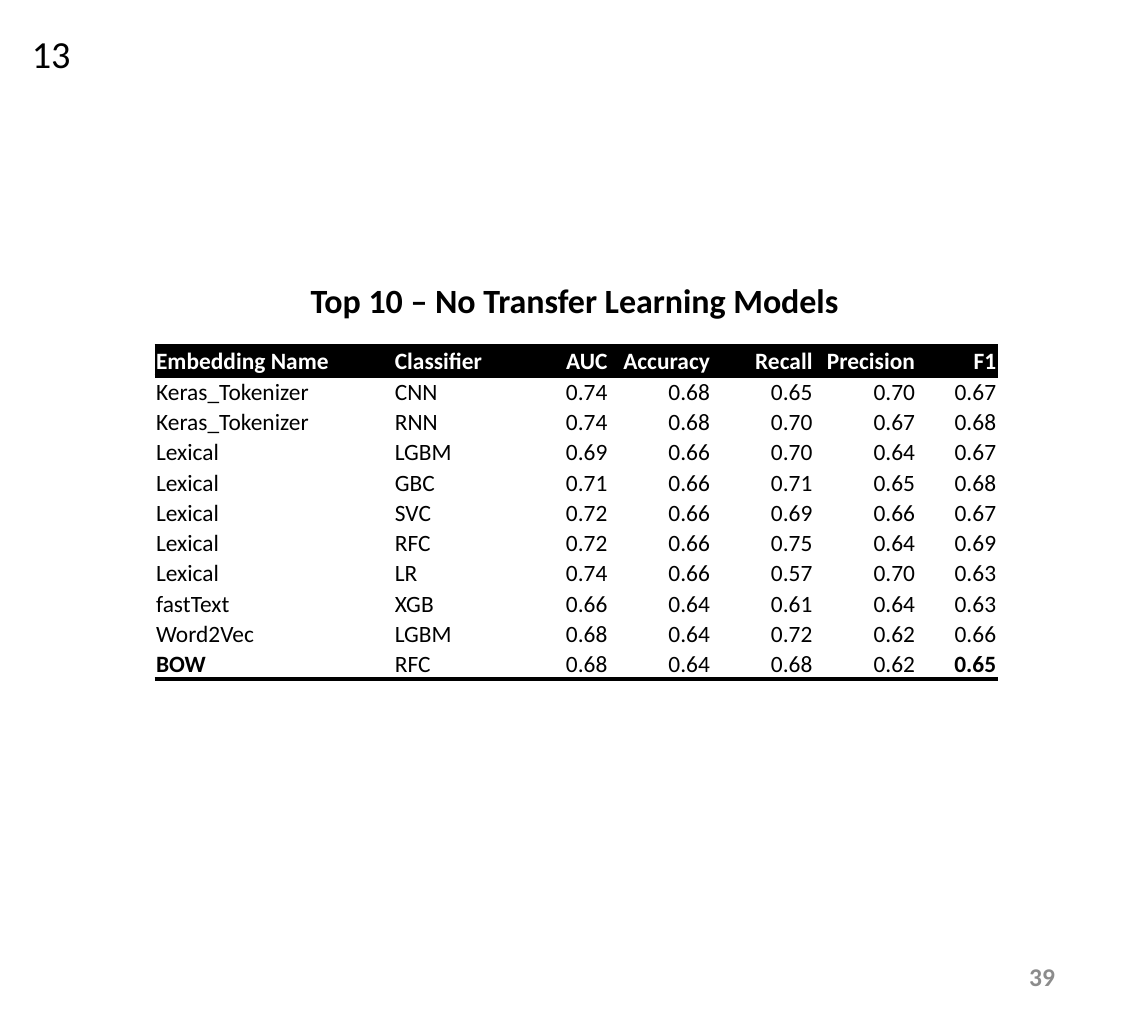
"""Build a slide with a table of the top ten models without transfer learning."""
from lxml import etree
from pptx import Presentation
from pptx.dml.color import RGBColor
from pptx.enum.text import MSO_ANCHOR, PP_ALIGN
from pptx.oxml import parse_xml
from pptx.oxml.ns import nsdecls, qn
from pptx.util import Inches, Pt

LEFT, CENTER, RIGHT = PP_ALIGN.LEFT, PP_ALIGN.CENTER, PP_ALIGN.RIGHT
TOP, MIDDLE, BOTTOM = MSO_ANCHOR.TOP, MSO_ANCHOR.MIDDLE, MSO_ANCHOR.BOTTOM
NO_TABLE_STYLE = "{2D5ABB26-0587-4C30-8999-92F81FD0307C}"

THEME = {
    "font": "Calibri",
    "black": "000000",
    "white": "FFFFFF",
    "gray": "8C8C8C",
    "title": 16,
    "corner": 18,
    "page": 12,
    "table": 11,
    "rule": 2,
}

LABELS = [
    ("Top 10 – No Transfer Learning Models", (1.42, 1.78, 4.67, 0.37),
     "title", "black", True, CENTER, TOP, True),
    ("39", (5.3, 6.2, 1.69, 0.36), "page", "gray", True, RIGHT, MIDDLE, True),
    ("13", (0.11, 0.15, 0.46, 0.4), "corner", "black", False, LEFT, TOP, False),
]

MODELS = [
    ("Embedding Name", "Classifier", "AUC", "Accuracy", "Recall", "Precision", "F1"),
    ("Keras_Tokenizer", "CNN", "0.74", "0.68", "0.65", "0.70", "0.67"),
    ("Keras_Tokenizer", "RNN", "0.74", "0.68", "0.70", "0.67", "0.68"),
    ("Lexical", "LGBM", "0.69", "0.66", "0.70", "0.64", "0.67"),
    ("Lexical", "GBC", "0.71", "0.66", "0.71", "0.65", "0.68"),
    ("Lexical", "SVC", "0.72", "0.66", "0.69", "0.66", "0.67"),
    ("Lexical", "RFC", "0.72", "0.66", "0.75", "0.64", "0.69"),
    ("Lexical", "LR", "0.74", "0.66", "0.57", "0.70", "0.63"),
    ("fastText", "XGB", "0.66", "0.64", "0.61", "0.64", "0.63"),
    ("Word2Vec", "LGBM", "0.68", "0.64", "0.72", "0.62", "0.66"),
    ("BOW", "RFC", "0.68", "0.64", "0.68", "0.62", "0.65"),
]
TABLE_BOX = (1.01, 2.26, 5.49, 2.18)
COLUMN_WIDTHS = (1.56, 0.74, 0.67, 0.67, 0.67, 0.67, 0.53)
TEXT_COLUMNS = 2


def color(name):
    return RGBColor.from_string(THEME[name])


def write(text_frame, text, size, color_name, bold, alignment):
    text_frame.text = text
    paragraph = text_frame.paragraphs[0]
    paragraph.alignment = alignment
    font = paragraph.runs[0].font
    font.name, font.size, font.bold = THEME["font"], Pt(THEME[size]), bold
    font.color.rgb = color(color_name)


def add_label(slide, text, box, size, color_name, bold, alignment, anchor, wrap):
    text_frame = slide.shapes.add_textbox(*map(Inches, box)).text_frame
    text_frame.word_wrap = wrap
    text_frame.vertical_anchor = anchor
    write(text_frame, text, size, color_name, bold, alignment)


def add_rules(cell, sides):
    properties = cell._tc.get_or_add_tcPr()
    for position, side in enumerate(sides):
        line = parse_xml(f'<a:{side} {nsdecls("a")} w="{Pt(THEME["rule"])}"/>')
        fill = etree.SubElement(line, qn("a:solidFill"))
        etree.SubElement(fill, qn("a:srgbClr"), val=THEME["black"])
        properties.insert(position, line)


def add_model_table(slide):
    row_count, column_count = len(MODELS), len(COLUMN_WIDTHS)
    frame = slide.shapes.add_table(row_count, column_count, *map(Inches, TABLE_BOX))
    table = frame.table
    table.first_row = table.horz_banding = False
    table._tbl.tblPr.find(qn("a:tableStyleId")).text = NO_TABLE_STYLE
    for column, width in zip(table.columns, COLUMN_WIDTHS):
        column.width = Inches(width)
    for row in table.rows:
        row.height = Inches(TABLE_BOX[3] / row_count)
    last_row, last_column = row_count - 1, column_count - 1
    rules = {0: ("lnT", "lnB"), last_row: ("lnB",)}
    for row_index, values in enumerate(MODELS):
        header = row_index == 0
        for column_index, value in enumerate(values):
            cell = table.cell(row_index, column_index)
            cell.margin_left = cell.margin_right = cell.margin_top = Inches(0.01)
            cell.margin_bottom = 0
            cell.vertical_anchor = BOTTOM
            cell.fill.solid()
            cell.fill.fore_color.rgb = color("black" if header else "white")
            add_rules(cell, rules.get(row_index, ()))
            bold = header or (row_index == last_row and column_index in (0, last_column))
            write(cell.text_frame, value, "table", "white" if header else "black",
                  bold, LEFT if column_index < TEXT_COLUMNS else RIGHT)


def main():
    presentation = Presentation()
    presentation.slide_width, presentation.slide_height = Inches(7.5), Inches(6.69)
    slide = presentation.slides.add_slide(presentation.slide_layouts[6])
    for label in LABELS:
        add_label(slide, *label)
    add_model_table(slide)
    presentation.save("out.pptx")


if __name__ == "__main__":
    main()
